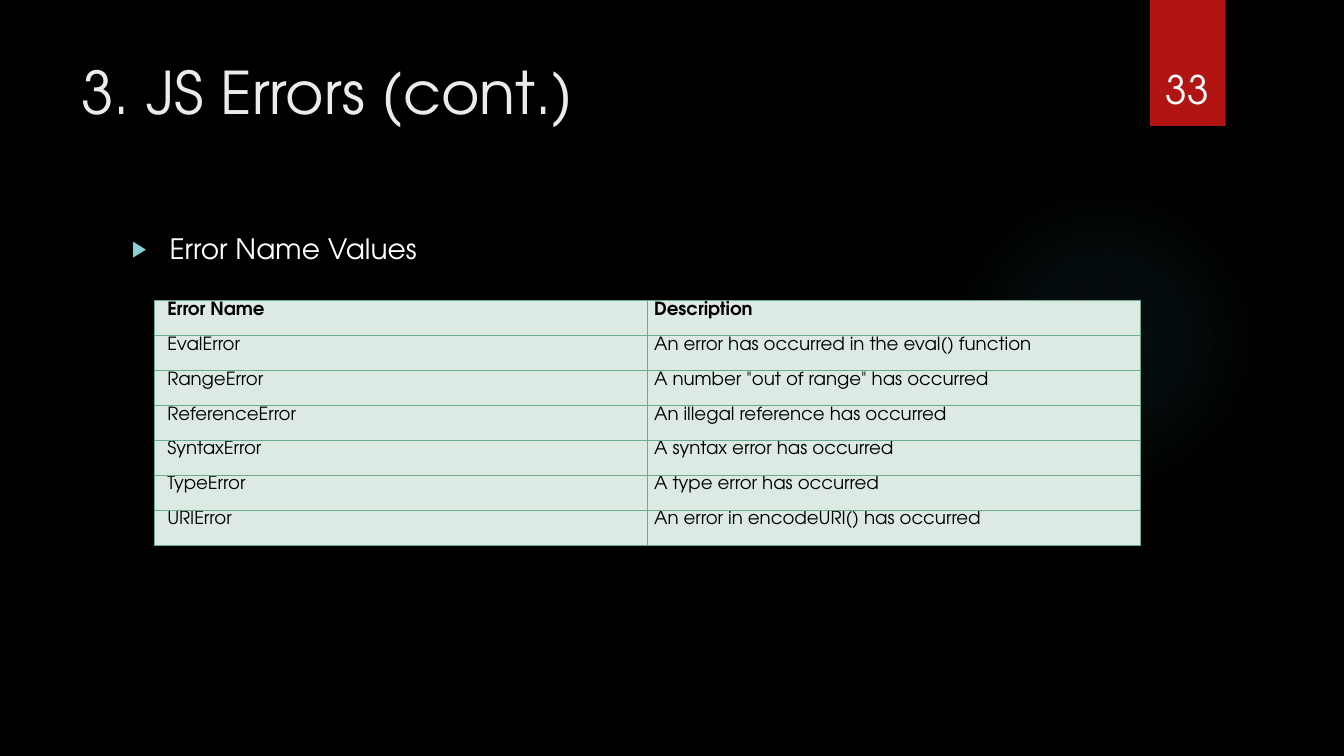
from dataclasses import dataclass
from lxml.etree import fromstring as parse_xml
from pptx import Presentation
from pptx.dml.color import RGBColor as RGB
from pptx.enum.shapes import MSO_SHAPE as SHAPE
from pptx.enum.text import MSO_ANCHOR as ANCHOR, MSO_AUTO_SIZE as FIT, PP_ALIGN as ALIGN
from pptx.util import Pt

NS = 'xmlns:a="http://schemas.openxmlformats.org/drawingml/2006/main"'


@dataclass(frozen=True)
class Theme:
    font: str = "TeX Gyre Adventor"
    back: str = "000000"
    title: str = "EBEBEB"
    text: str = "FFFFFF"
    bullet: str = "8AD0D6"
    tag: str = "B01513"
    glow: str = "50B9C1"
    cell: str = "DDEAE3"
    ink: str = "000000"
    edge: str = "6AAC90"
    title_pt: int = 42
    list_pt: int = 20
    tag_pt: int = 28
    cell_pt: int = 13


THEME = Theme()

ROWS = [
    ("Error Name", "Description"),
    ("EvalError", "An error has occurred in the eval() function"),
    ("RangeError", 'A number "out of range" has occurred'),
    ("ReferenceError", "An illegal reference has occurred"),
    ("SyntaxError", "A syntax error has occurred"),
    ("TypeError", "A type error has occurred"),
    ("URIError", "An error in encodeURI() has occurred"),
]


def color(code):
    return RGB.from_string(code)


def node(xml):
    return parse_xml(xml)


def add_run(para, text, size, code, bold=False):
    run = para.add_run()
    run.text = text
    font = run.font
    font.name, font.size, font.bold = THEME.font, Pt(size), bold
    font.color.rgb = color(code)


def place(shape, left, top, width, height):
    shape.left, shape.top = Pt(left), Pt(top)
    shape.width, shape.height = Pt(width), Pt(height)


def set_frame(shape, anchor, align):
    frame = shape.text_frame
    frame.word_wrap = True
    frame.auto_size = FIT.NONE
    frame.vertical_anchor = anchor
    para = frame.paragraphs[0]
    para.alignment = align
    return para


def add_plain(slide, kind, left, top, width, height):
    shape = slide.shapes.add_shape(kind, Pt(left), Pt(top), Pt(width), Pt(height))
    shape.shadow.inherit = False
    shape.line.fill.background()
    return shape


def add_glow(slide):
    glow = add_plain(slide, SHAPE.OVAL, 677.5, 131.75, 221.75, 221.75)
    stops = "".join(
        f'<a:gs pos="{pos * 1000}"><a:srgbClr val="{THEME.glow}">'
        f'<a:alpha val="{alpha * 1000}"/></a:srgbClr></a:gs>'
        for pos, alpha in ((0, 7), (36, 6), (69, 0), (100, 0)))
    fill = node(
        f'<a:gradFill {NS} rotWithShape="1"><a:gsLst>{stops}</a:gsLst>'
        '<a:path path="circle"><a:fillToRect l="50000" t="50000" r="50000" b="50000"/>'
        '</a:path></a:gradFill>')
    glow.element.spPr.find("{*}prstGeom").addnext(fill)


def add_tag(slide, number):
    tag = add_plain(slide, SHAPE.RECTANGLE, 821.5, 0, 54, 90)
    tag.fill.solid()
    tag.fill.fore_color.rgb = color(THEME.tag)
    effect = tag.element.spPr.find("{*}effectLst")
    effect.append(node(
        f'<a:outerShdw {NS} blurRad="{Pt(3)}" dist="{Pt(2)}" dir="5400000" rotWithShape="0">'
        '<a:srgbClr val="000000"><a:alpha val="45000"/></a:srgbClr></a:outerShdw>'))
    box = slide.shapes.add_textbox(Pt(815), Pt(23), Pt(66.25), Pt(60.5))
    para = set_frame(box, ANCHOR.BOTTOM, ALIGN.CENTER)
    add_run(para, number, THEME.tag_pt, THEME.text)


def fill_title(slide, text):
    title = slide.shapes.title
    place(title, 51, 36, 741, 110)
    para = set_frame(title, ANCHOR.TOP, ALIGN.LEFT)
    add_run(para, text, THEME.title_pt, THEME.title)


def fill_list(slide, text):
    body = slide.placeholders[1]
    place(body, 87, 162, 704, 330.5)
    para = set_frame(body, ANCHOR.TOP, ALIGN.LEFT)
    para.space_before = Pt(10)
    add_run(para, text, THEME.list_pt, THEME.text)
    # Hanging bullet
    props = para._p.get_or_add_pPr()
    props.set("marL", str(Pt(27)))
    props.set("indent", str(-Pt(27)))
    for part in (f'<a:buClr {NS}><a:srgbClr val="{THEME.bullet}"/></a:buClr>',
                 f'<a:buSzPct {NS} val="80000"/>',
                 f'<a:buChar {NS} char="▶"/>'):
        props.append(node(part))


def set_edges(cell):
    props = cell._tc.get_or_add_tcPr()
    for spot, side in enumerate("LRTB"):
        props.insert(spot, node(
            f'<a:ln{side} {NS} w="{Pt(0.75)}"><a:solidFill>'
            f'<a:srgbClr val="{THEME.edge}"/></a:solidFill></a:ln{side}>'))


def fill_cell(cell, text, left, bold):
    cell.margin_left = Pt(left)
    cell.margin_right = cell.margin_bottom = Pt(4.5)
    cell.margin_top = Pt(1)
    cell.vertical_anchor = ANCHOR.TOP
    cell.fill.solid()
    cell.fill.fore_color.rgb = color(THEME.cell)
    set_edges(cell)
    add_run(cell.text_frame.paragraphs[0], text, THEME.cell_pt, THEME.ink, bold)


def add_grid(slide, rows):
    high = 25
    frame = slide.shapes.add_table(len(rows), 2, Pt(110.5), Pt(214.5),
                                   Pt(704.5), Pt(high * len(rows)))
    table = frame.table
    for row, texts in enumerate(rows):
        table.rows[row].height = Pt(high)
        for col, text in enumerate(texts):
            fill_cell(table.cell(row, col), text, (9, 4.5)[col], row == 0)


def main():
    deck = Presentation()
    deck.slide_width, deck.slide_height = Pt(960), Pt(540)
    slide = deck.slides.add_slide(deck.slide_layouts[1])
    slide.background.fill.solid()
    slide.background.fill.fore_color.rgb = color(THEME.back)
    # Decoration goes behind the placeholders
    holders = list(slide.placeholders)
    add_glow(slide)
    add_tag(slide, "33")
    for holder in holders:
        slide.shapes.element.append(holder.element)
    # Content
    fill_title(slide, "3. JS Errors (cont.)")
    fill_list(slide, "Error Name Values")
    add_grid(slide, ROWS)
    deck.save("out.pptx")


if __name__ == "__main__":
    main()
